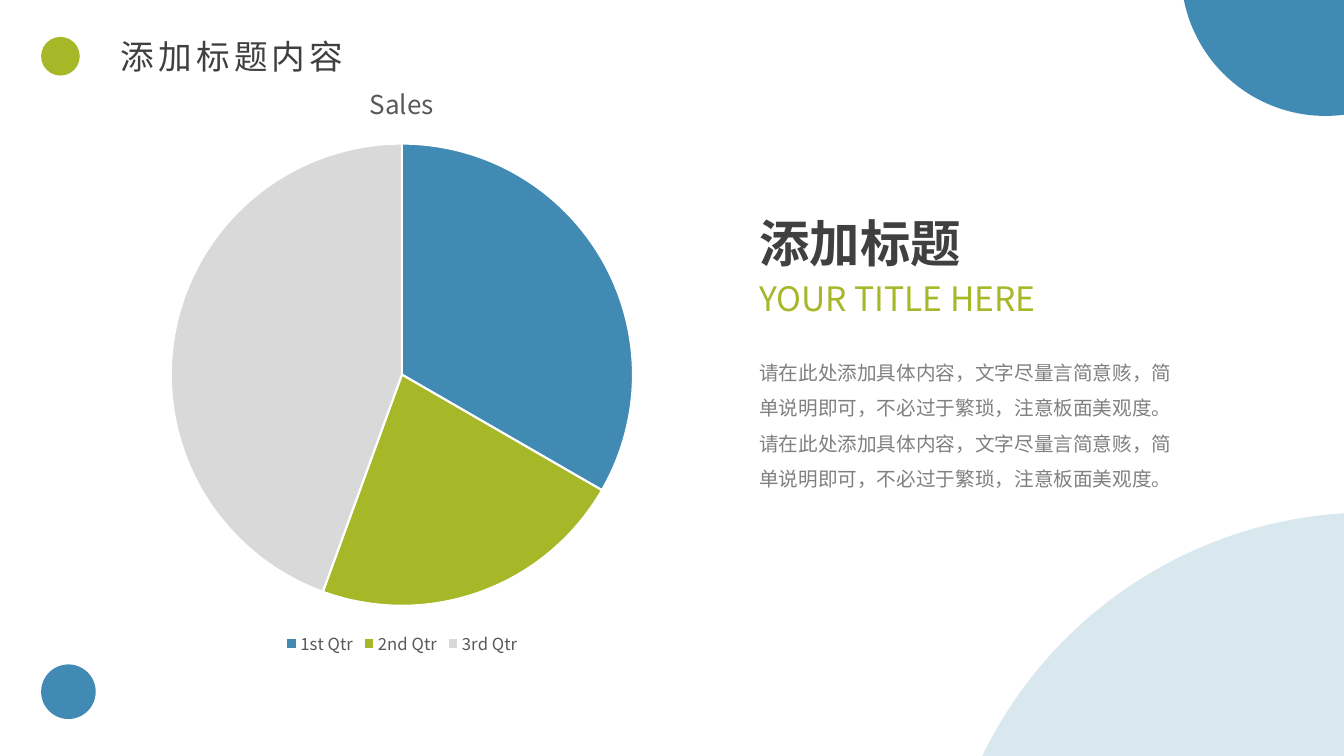
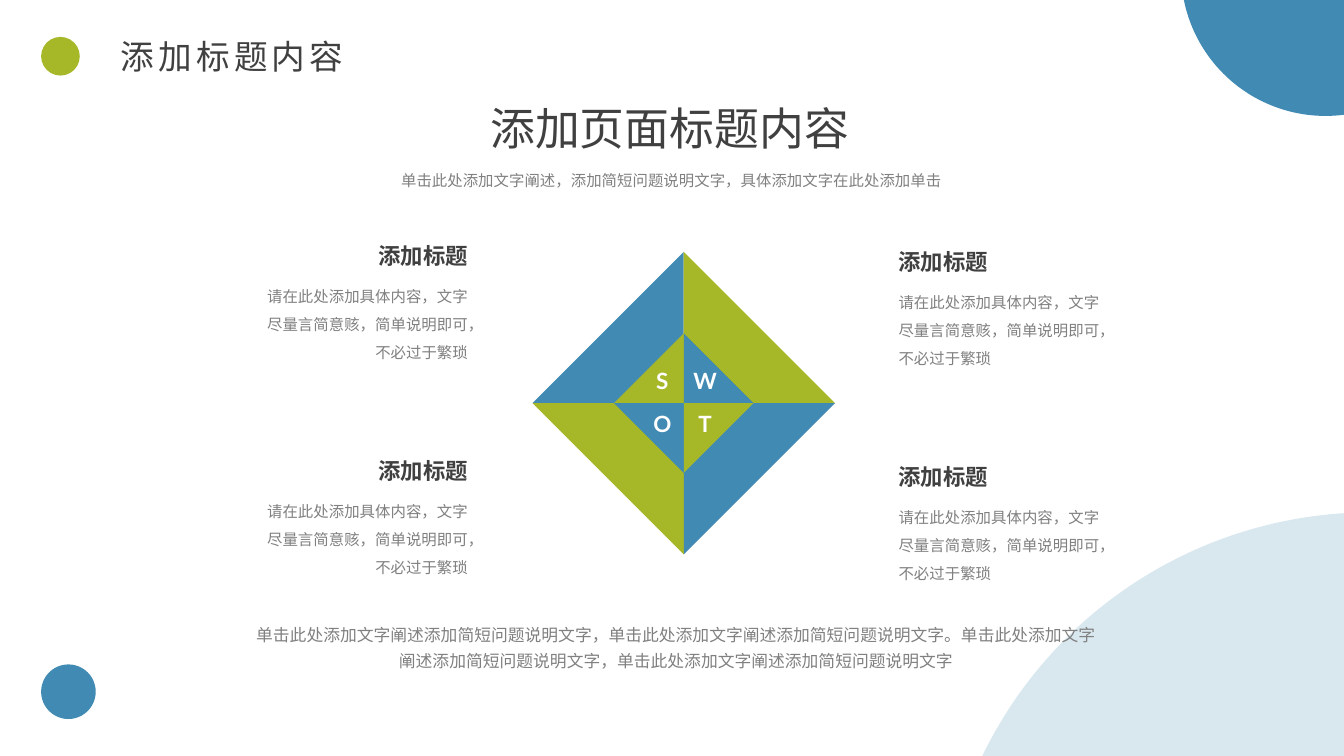
from lxml import etree
from pptx import Presentation
from pptx import util as u
from pptx.chart.data import CategoryChartData
from pptx.dml.color import RGBColor
from pptx.enum import chart as charts, shapes, text
from pptx.oxml.ns import qn

BLUE = RGBColor(0x41, 0x8A, 0xB3)
GREEN = RGBColor(0xA6, 0xB7, 0x27)
SILVER = RGBColor(0xD9, 0xD9, 0xD9)
DARK = RGBColor(0x40, 0x40, 0x40)
MUTED = RGBColor(0x59, 0x59, 0x59)
GRAY = RGBColor(0x80, 0x80, 0x80)
WHITE = RGBColor(0xFF, 0xFF, 0xFF)
SANS = "Noto Sans CJK SC"
LATO = "Lato"
LEFT, RIGHT = text.PP_ALIGN.LEFT, text.PP_ALIGN.RIGHT
CENTER, JUSTIFY = text.PP_ALIGN.CENTER, text.PP_ALIGN.JUSTIFY

COLUMNS, ROWS = 16, 9
deck = Presentation()
deck.slide_height = u.Inches(7.5)
CELL = deck.slide_height / ROWS
deck.slide_width = round(CELL * COLUMNS)


def grid(*cells):
    return [round(cell * CELL) for cell in cells]


def write(slide, words, box, size, color, font=SANS, bold=False, align=LEFT,
          leading=None, tracking=0, inset=0.05, wrap=True):
    frame = slide.shapes.add_textbox(*grid(*box)).text_frame
    frame.word_wrap = wrap
    frame.margin_top = frame.margin_bottom = u.Inches(inset)
    line = frame.paragraphs[0]
    line.alignment = align
    if leading:
        line.line_spacing = leading
    run = line.add_run()
    run.text = words
    run.font.size = u.Pt(size)
    run.font.bold = bold
    run.font.name = font
    run.font.color.rgb = color
    properties = run.font._element
    properties.set("lang", "zh-CN")
    properties.set("spc", str(tracking * 100))
    latin = properties.find(qn("a:latin"))
    east_asian = etree.Element(qn("a:ea"), typeface=SANS)
    latin.addnext(east_asian)


sales_slide, swot_slide = [deck.slides.add_slide(deck.slide_layouts[6]) for _ in range(2)]

circles = [
    (11.18, 6.1, 10.28, BLUE, 20),
    (14.06, -2.06, 3.44, BLUE, 100),
    (0.49, 7.91, 0.65, BLUE, 100),
    (0.49, 0.44, 0.46, GREEN, 100),
]
for slide in (sales_slide, swot_slide):
    for left, top, size, color, opacity in circles:
        circle = slide.shapes.add_shape(shapes.MSO_SHAPE.FLOWCHART_CONNECTOR, *grid(left, top, size, size))
        circle.shadow.inherit = False
        circle.line.fill.background()
        circle.fill.solid()
        circle.fill.fore_color.rgb = color
        if opacity < 100:
            tint = circle._element.spPr.find(qn("a:solidFill")).find(qn("a:srgbClr"))
            etree.SubElement(tint, qn("a:alpha"), val=str(opacity * 1000))
    write(slide, "添加标题内容", (1.32, 0.37, 3.07, 0.6), 24, DARK, font=LATO, align=JUSTIFY, tracking=3)

sales = CategoryChartData()
sales.categories = ["1st Qtr", "2nd Qtr", "3rd Qtr"]
sales.add_series("Sales", (33, 22, 44))
pie = sales_slide.shapes.add_chart(charts.XL_CHART_TYPE.PIE, *grid(1.03, 0.7, 7.51, 7.16), sales).chart
pie.font.name = SANS
pie.font.size = u.Pt(10)
pie.has_title = True
pie.chart_title.include_in_layout = False
pie.chart_title.text_frame.text = "Sales"
caption = pie.chart_title.text_frame.paragraphs[0].runs[0].font
pie.has_legend = True
pie.legend.position = charts.XL_LEGEND_POSITION.BOTTOM
pie.legend.include_in_layout = False
for font, size in ((caption, 18.6), (pie.legend.font, 11.9)):
    font.name = SANS
    font.size = u.Pt(size)
    font.bold = False
    font.color.rgb = MUTED
pie.plots[0].vary_by_categories = True
for quarter, color in enumerate((BLUE, GREEN, SILVER)):
    slice_format = pie.plots[0].series[0].points[quarter].format
    slice_format.fill.solid()
    slice_format.fill.fore_color.rgb = color
    slice_format.line.color.rgb = WHITE
    slice_format.line.width = u.Pt(1.5)

write(sales_slide, "添加标题", (8.92, 2.52, 5.46, 0.73), 36, DARK, bold=True, inset=0)
write(sales_slide, "YOUR TITLE HERE", (8.92, 3.25, 4.18, 0.62), 24, GREEN)
advice = "请在此处添加具体内容，文字尽量言简意赅，简单说明即可，不必过于繁琐，注意板面美观度。"
write(sales_slide, advice * 2, (8.92, 4.1, 5.21, 1.74), 14, GRAY, leading=1.5)

CENTER_X, CENTER_Y = 8.14, 4.8
quadrants = [
    ("S", 0, 0, 270, BLUE, GREEN),
    ("W", 1, 0, 0, GREEN, BLUE),
    ("O", 0, 1, 180, GREEN, BLUE),
    ("T", 1, 1, 90, BLUE, GREEN),
]
for letter, column, row, turn, outer, inner in quadrants:
    for side, color in ((1.8, outer), (0.83, inner)):
        corner = (CENTER_X + (column - 1) * side, CENTER_Y + (row - 1) * side)
        triangle = swot_slide.shapes.add_shape(shapes.MSO_SHAPE.RIGHT_TRIANGLE, *grid(*corner, side, side))
        triangle.rotation = turn
        triangle.shadow.inherit = False
        triangle.line.fill.background()
        triangle.fill.solid()
        triangle.fill.fore_color.rgb = color
    write(swot_slide, letter, (7.55 + 0.51 * column, 4.31 + 0.51 * row, 0.67, 0.44), 16, WHITE,
          font=LATO, bold=True, align=CENTER)

    block_left = (3.05, 10.58)[column]
    block_top = 2.82 + 0.07 * column + 2.56 * row
    align = (RIGHT, LEFT)[column]
    write(swot_slide, "添加标题", (block_left, block_top, 2.64, 0.44), 16, DARK, bold=True, align=align)
    write(swot_slide, "请在此处添加具体内容，文字尽量言简意赅，简单说明即可，不必过于繁琐",
          (block_left, block_top + 0.43, 2.64, 1.07), 11, GRAY, align=align, leading=u.Pt(20))

write(swot_slide, "添加页面标题内容", (5.72, 1.14, 4.55, 0.77), 32, DARK, wrap=False)
write(swot_slide, "单击此处添加文字阐述，添加简短问题说明文字，具体添加文字在此处添加单击",
      (4.09, 1.87, 7.81, 0.4), 11, GRAY, align=CENTER, leading=1.5)
prompt = "单击此处添加文字阐述添加简短问题说明文字"
write(swot_slide, f"{prompt}，{prompt}。{prompt}，{prompt}",
      (2.89, 7.31, 10.32, 0.7), 12, GRAY, align=CENTER, leading=1.3)

deck.save("out.pptx")
